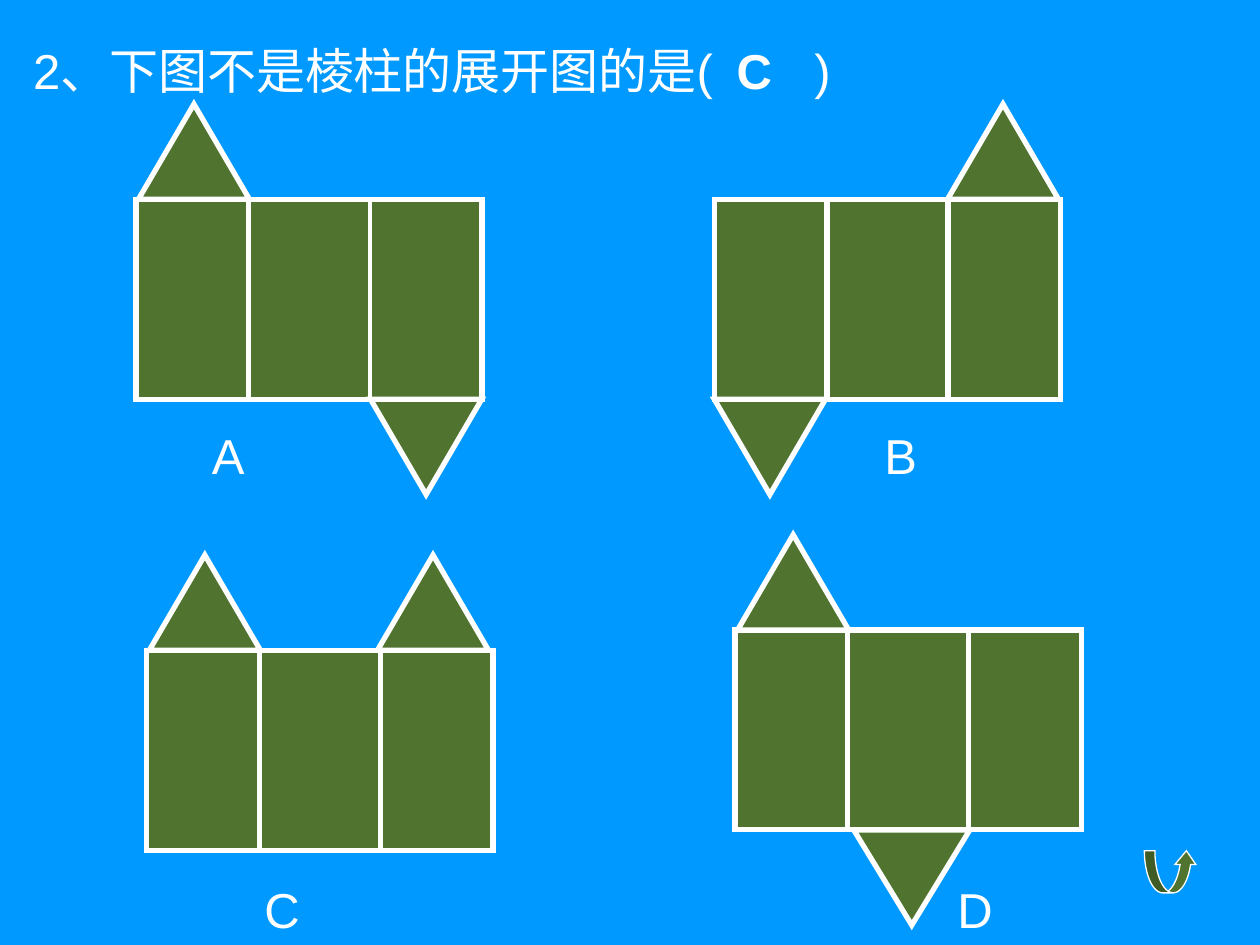
from lxml import etree
from pptx import Presentation
from pptx.dml.color import RGBColor
from pptx.enum.shapes import MSO_CONNECTOR, MSO_SHAPE
from pptx.enum.text import MSO_AUTO_SIZE
from pptx.oxml.ns import qn
from pptx.util import Cm, Pt

RECTANGLE = MSO_SHAPE.RECTANGLE
TRIANGLE = MSO_SHAPE.ISOSCELES_TRIANGLE
RETURN_ARROW = MSO_SHAPE.CURVED_UP_ARROW
STRAIGHT = MSO_CONNECTOR.STRAIGHT
FIT_SHAPE = MSO_AUTO_SIZE.SHAPE_TO_FIT_TEXT

BLUE, GREEN, WHITE = "0099FF", "50742F", "FFFFFF"
BODY_WIDTH, BODY_HEIGHT = 6.98, 4.03
FOLDS = (2.27, 4.71)
FLAP_WIDTH, FLAP_HEIGHT = 2.24, 1.92
TEXT_HEIGHT = 1.45
BLANK_TAB = 15.75

NETS = [
    {"left": 2.74, "top": 4.02, "fold_weights": (3, 2.25),
     "flaps": [(0.05, "up", FLAP_WIDTH), (4.73, "down", FLAP_WIDTH)]},
    {"left": 14.4, "top": 4.02, "fold_weights": (3, 3),
     "flaps": [(4.7, "up", FLAP_WIDTH), (0, "down", FLAP_WIDTH)]},
    {"left": 14.82, "top": 12.7, "fold_weights": (3, 3),
     "flaps": [(0.05, "up", FLAP_WIDTH), (2.39, "down", 2.34)]},
    {"left": 2.96, "top": 13.11, "fold_weights": (3, 3),
     "flaps": [(0.05, "up", FLAP_WIDTH), (4.65, "up", FLAP_WIDTH)]},
]
LABELS = [("A", 4.02, 8.46), ("B", 17.58, 8.46),
          ("C", 5.08, 17.6), ("D", 19.05, 17.6)]


def paint(color_format, color):
    """Set a colour from a hex string."""
    color_format.rgb = RGBColor.from_string(color)


def style_line(line, weight):
    """Draw a white line with sharp corners."""
    paint(line.color, WHITE)
    line.width = Pt(weight)
    miter = etree.SubElement(line._ln, qn("a:miter"))
    miter.set("lim", "800000")


def add_panel(slide, preset, left, top, width, height, weight=3):
    """Add a green preset shape with a white outline."""
    panel = slide.shapes.add_shape(
        preset, Cm(left), Cm(top), Cm(width), Cm(height))
    panel.shadow.inherit = False
    panel.fill.solid()
    paint(panel.fill.fore_color, GREEN)
    style_line(panel.line, weight)
    return panel


def add_fold(slide, x, top, weight):
    """Add a vertical fold line across the body of a net."""
    fold = slide.shapes.add_connector(
        STRAIGHT, Cm(x), Cm(top), Cm(x), Cm(top + BODY_HEIGHT))
    style_line(fold.line, weight)
    etree.SubElement(fold._element.spPr, qn("a:effectLst"))


def add_net(slide, left, top, fold_weights, flaps):
    """Add a three-panel body with its folds and triangular flaps."""
    add_panel(slide, RECTANGLE, left, top, BODY_WIDTH, BODY_HEIGHT)
    for offset, weight in zip(FOLDS, fold_weights):
        add_fold(slide, left + offset, top, weight)
    for offset, direction, width in flaps:
        points_up = direction == "up"
        flap_top = top - FLAP_HEIGHT if points_up else top + BODY_HEIGHT
        flap = add_panel(slide, TRIANGLE, left + offset, flap_top,
                         width, FLAP_HEIGHT)
        flap.rotation = 0 if points_up else 180


def add_text(slide, text, left, top, width, bold=None, tab=None):
    """Add one line of white text, with an optional tab stop."""
    box = slide.shapes.add_textbox(
        Cm(left), Cm(top), Cm(width), Cm(TEXT_HEIGHT))
    frame = box.text_frame
    frame.word_wrap = True
    frame.auto_size = FIT_SHAPE
    paragraph = frame.paragraphs[0]
    if tab:
        stops = etree.SubElement(
            paragraph._p.get_or_add_pPr(), qn("a:tabLst"))
        etree.SubElement(stops, qn("a:tab"), pos=str(Cm(tab)), algn="l")
    run = paragraph.add_run()
    run.text = text
    for name, value in {"name": "Arial", "size": Pt(28), "bold": bold}.items():
        setattr(run.font, name, value)
    paint(run.font.color, WHITE)


def main():
    """Build the slide and save it."""
    deck = Presentation()
    deck.slide_width, deck.slide_height = Cm(25.4), Cm(19.05)
    slide = deck.slides.add_slide(deck.slide_layouts[6])
    slide.background.fill.solid()
    paint(slide.background.fill.fore_color, BLUE)

    add_text(slide, "2、下图不是棱柱的展开图的是(\t)", 0.42, 0.69, 16.93,
             tab=BLANK_TAB)
    for net in NETS:
        add_net(slide, **net)
    for letter, left, top in LABELS:
        add_text(slide, letter, left, top, 2.54)
    add_text(slide, "C", 14.6, 0.69, 1.69, bold=True)

    arrow = add_panel(slide, RETURN_ARROW, 23.07, 17.15, 1.06, 0.85, 0.75)
    arrow.adjustments[2] = 0.33
    deck.save("out.pptx")


if __name__ == "__main__":
    main()
